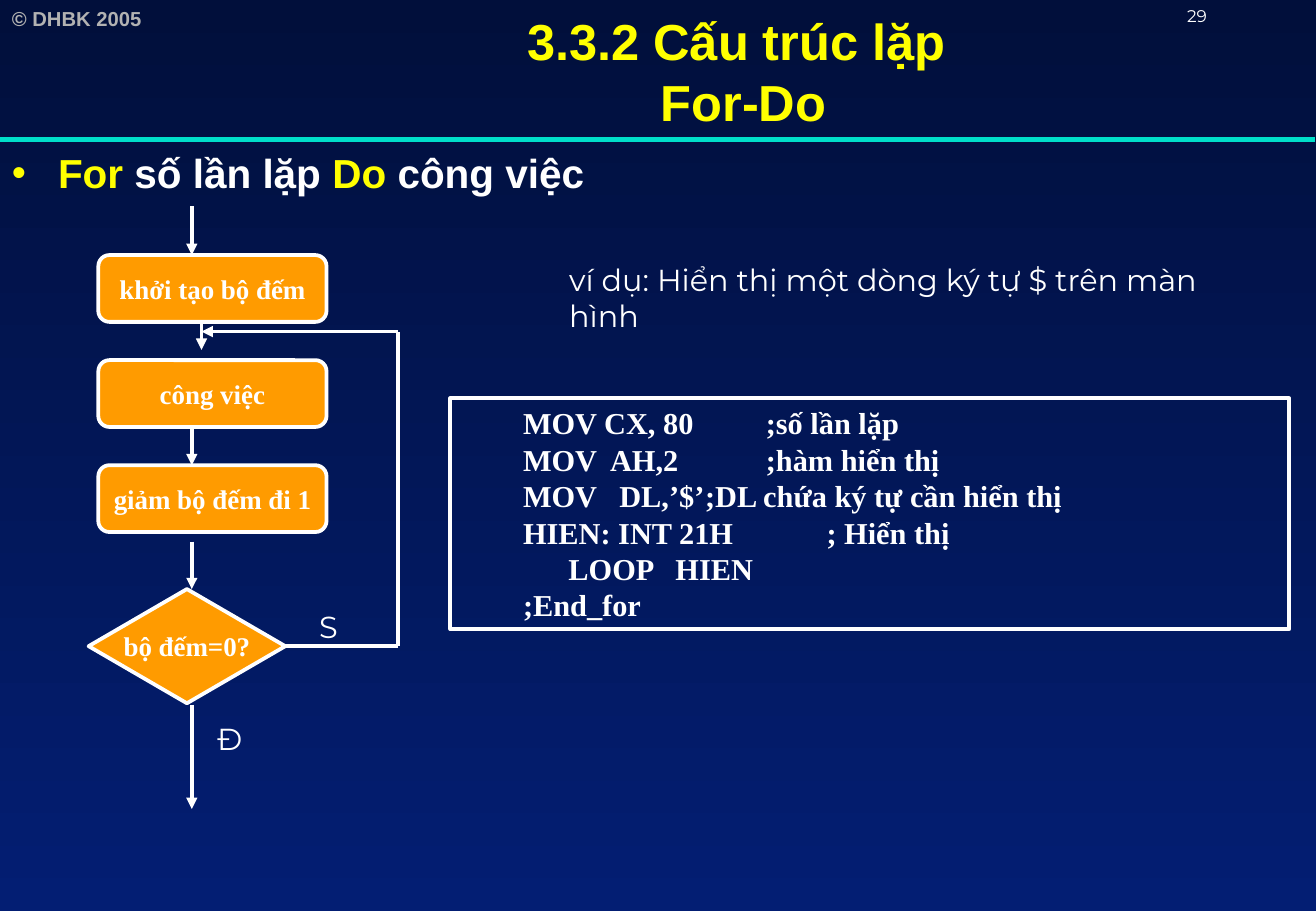
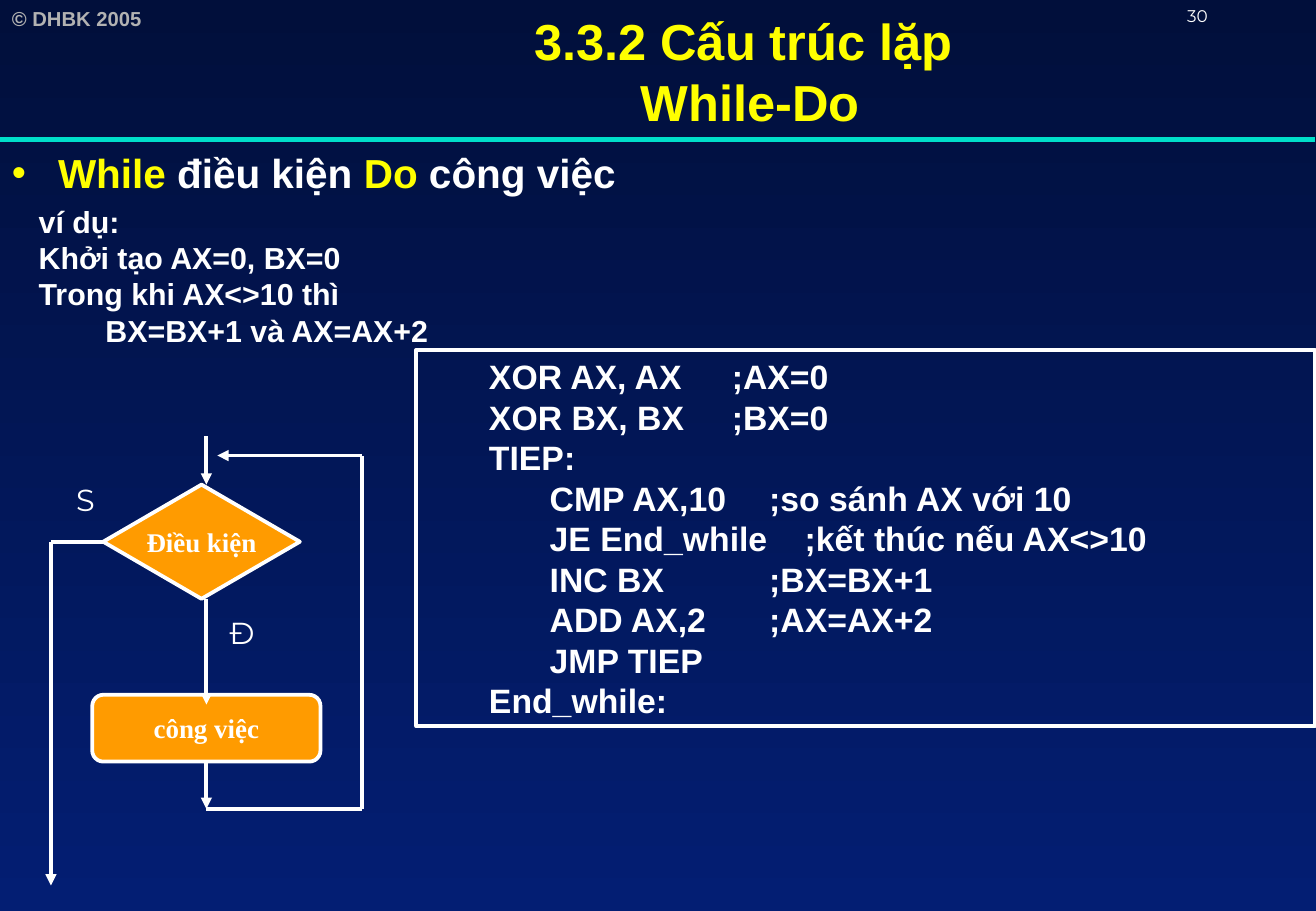
from itertools import pairwise

from lxml.etree import SubElement
from pptx import Presentation
from pptx.dml.color import RGBColor
from pptx.enum.shapes import MSO_CONNECTOR as CONN, MSO_SHAPE as SHAPE
from pptx.enum.text import MSO_ANCHOR as ANCHOR, MSO_AUTO_SIZE as FIT, PP_ALIGN as ALIGN
from pptx.oxml.ns import qn
from pptx.util import Inches, Pt

NAVY_TOP = RGBColor(0x01, 0x0F, 0x3B)
NAVY_BOTTOM = RGBColor(0x03, 0x1E, 0x73)
TEAL = RGBColor(0x00, 0xDF, 0xCA)
GREY = RGBColor(0xB2, 0xB2, 0xB2)
YELLOW = RGBColor(0xFF, 0xFF, 0x00)
ORANGE = RGBColor(0xFF, 0x9B, 0x00)
WHITE = RGBColor(0xFF, 0xFF, 0xFF)

SANS, SERIF, LABEL = "Arial", "Times New Roman", "Montserrat"
LEADING = 1.2
STEP_SIZE = (1.88, 0.55)
DECISION_SIZE = (1.62, 0.94)


def add_run(p, text, size, font=SANS, color=WHITE, bold=True):
    r = p.add_run()
    r.text = text
    r.font.size = Pt(size)
    r.font.name = font
    r.font.bold = bold
    r.font.color.rgb = color
    p.line_spacing = Pt(size * LEADING)


def set_indent(p, left, first=0):
    pPr = p._p.get_or_add_pPr()
    pPr.set("marL", str(Inches(left)))
    pPr.set("indent", str(Inches(first)))
    return pPr


def add_tabs(pPr):
    tabs = SubElement(pPr, qn("a:tabLst"))
    for inch in range(8):
        SubElement(tabs, qn("a:tab"), pos=str(Inches(inch)), algn="l")


def add_paragraph(tf, index):
    return tf.add_paragraph() if index else tf.paragraphs[0]


def add_text(slide, box, lines, size, font=LABEL, color=WHITE, bold=False, wrap=False):
    sp = slide.shapes.add_textbox(*map(Inches, box))
    tf = sp.text_frame
    tf.word_wrap = wrap
    for i, text in enumerate(lines):
        add_run(add_paragraph(tf, i), text, size, font, color, bold)
    return sp


def add_box(slide, kind, box, fill=None):
    sp = slide.shapes.add_shape(kind, *map(Inches, box))
    sp.shadow.inherit = False
    if fill is None:
        sp.fill.background()
    else:
        sp.fill.solid()
        sp.fill.fore_color.rgb = fill
    sp.line.color.rgb = WHITE
    sp.line.width = Pt(2.25)
    return sp


def add_node(slide, kind, left, top, size, text):
    sp = add_box(slide, kind, (left, top, *size), ORANGE)
    tf = sp.text_frame
    tf.word_wrap = False
    tf.vertical_anchor = ANCHOR.MIDDLE
    p = tf.paragraphs[0]
    p.alignment = ALIGN.CENTER
    add_run(p, text, 16, SERIF)
    return sp


def add_step(slide, left, top, text):
    return add_node(slide, SHAPE.FLOWCHART_ALTERNATE_PROCESS, left, top, STEP_SIZE, text)


def add_decision(slide, left, top, text):
    return add_node(slide, SHAPE.FLOWCHART_DECISION, left, top, DECISION_SIZE, text)


def add_code(slide, box, lines, size, font):
    tf = add_box(slide, SHAPE.RECTANGLE, box).text_frame
    tf.word_wrap = True
    tf.vertical_anchor = ANCHOR.TOP
    for i, text in enumerate(lines):
        p = add_paragraph(tf, i)
        add_tabs(set_indent(p, 0.5))
        p.alignment = ALIGN.LEFT
        add_run(p, text, size, font)


def add_line(slide, start, end, color=WHITE, width=2.25, arrow=False):
    line = slide.shapes.add_connector(CONN.STRAIGHT, *map(Inches, (*start, *end)))
    line.line.color.rgb = color
    line.line.width = Pt(width)
    if arrow:
        SubElement(line.line._get_or_add_ln(), qn("a:tailEnd"), type="triangle")
    SubElement(line._element.spPr, qn("a:effectLst"))
    return line


def add_route(slide, *points, source=None, site=None):
    legs = list(pairwise(points))
    lines = [add_line(slide, a, b, arrow=(a, b) == legs[-1]) for a, b in legs]
    if source is not None:
        lines[0].begin_connect(source, site)


def add_header(slide, layout):
    copyright_box = add_text(slide, (0, 0, 1.57, 0.3), ["© DHBK 2005"], 12, SANS, GREY, True)
    rule = add_line(slide, (0, 1.15), (10.83, 1.15), TEAL, 3)
    for shape in (copyright_box, rule):
        layout.shapes.element.append(shape.element)


def set_background(master):
    fill = master.background.fill
    fill.gradient()
    fill.gradient_angle = 270
    for stop, color in zip(fill.gradient_stops, (NAVY_TOP, NAVY_BOTTOM)):
        stop.color.rgb = color


def set_title(slide, lines):
    title = slide.shapes.title
    title.left, title.top, title.width, title.height = map(Inches, (1.41, 0, 9.43, 1.17))
    tf = title.text_frame
    tf.auto_size = FIT.NONE
    tf.vertical_anchor = ANCHOR.MIDDLE
    p = tf.paragraphs[0]
    p.alignment = ALIGN.CENTER
    for i, text in enumerate(lines):
        if i:
            p.add_line_break()
        add_run(p, text, 30, color=YELLOW)


def add_syntax(slide, parts):
    sp = slide.shapes.add_textbox(*map(Inches, (0, 1.17, 10.83, 0.5)))
    sp.text_frame.word_wrap = True
    p = sp.text_frame.paragraphs[0]
    pPr = set_indent(p, 0.38, -0.38)
    SubElement(SubElement(pPr, qn("a:buClr")), qn("a:srgbClr"), val=str(YELLOW))
    SubElement(pPr, qn("a:buFont"), typeface=SANS)
    SubElement(pPr, qn("a:buChar"), char="•")
    for i, text in enumerate(parts):
        add_run(p, text, 24, color=WHITE if i % 2 else YELLOW)


def add_lesson(prs, layout, number, title, syntax):
    slide = prs.slides.add_slide(layout)
    set_title(slide, title)
    add_syntax(slide, syntax)
    add_text(slide, (9.68, 0, 1.1, 0.25), [number], 10)
    return slide


def build_for(slide):
    add_code(slide, (3.71, 3.28, 6.91, 1.9), [
        "MOV CX, 80\t\t;số lần lặp",
        "MOV  AH,2\t\t;hàm hiển thị",
        "MOV   DL,’$’\t;DL chứa ký tự cần hiển thị",
        "HIEN: INT 21H\t\t; Hiển thị",
        "      LOOP   HIEN",
        ";End_for",
    ], 18, SERIF)
    for i, text in enumerate(("khởi tạo bộ đếm", "công việc", "giảm bộ đếm đi 1")):
        add_step(slide, 0.81, 2.1 + i * 0.865, text)
    check = add_decision(slide, 0.73, 4.85, "bộ đếm=0?")
    for x, top, bottom in ((1.58, 1.7, 2.1), (1.66, 2.65, 2.88), (1.58, 3.51, 3.83),
                           (1.58, 4.46, 4.85), (1.58, 5.8, 6.66)):
        add_route(slide, (x, top), (x, bottom))
    add_route(slide, (2.35, 5.32), (3.28, 5.32), (3.28, 2.73), (1.66, 2.73),
              source=check, site=3)
    add_text(slide, (2.53, 4.96, 0.34, 0.4), ["S"], 18)
    add_text(slide, (1.69, 5.88, 0.38, 0.4), ["Đ"], 18)
    add_text(slide, (4.59, 2.1, 5.63, 0.7),
             ["ví dụ: Hiển thị một dòng ký tự $ trên màn hình"], 18, wrap=True)


def build_while(slide):
    add_code(slide, (3.43, 2.88, 7.4, 3.1), [
        "XOR AX, AX\t;AX=0",
        "XOR BX, BX\t;BX=0",
        "TIEP:",
        "\tCMP AX,10\t    ;so sánh AX với 10",
        "\tJE End_while    ;kết thúc nếu AX<>10",
        "\tINC BX\t\t    ;BX=BX+1",
        "\tADD AX,2\t    ;AX=AX+2",
        "\tJMP TIEP",
        "End_while:",
    ], 20, SANS)
    work = add_step(slide, 0.76, 5.72, "công việc")
    check = add_decision(slide, 0.85, 3.99, "Điều kiện")
    add_route(slide, (1.7, 3.59), (1.7, 3.99))
    add_route(slide, (1.7, 4.93), (1.7, 5.8))
    add_route(slide, (1.7, 6.27), (1.7, 6.66), source=work, site=2)
    add_route(slide, (1.7, 6.66), (2.98, 6.66), (2.98, 3.75), (1.79, 3.75))
    add_route(slide, (0.85, 4.46), (0.42, 4.46), (0.42, 7.29), source=check, site=1)
    add_text(slide, (0.53, 3.91, 0.34, 0.4), ["S"], 18)
    add_text(slide, (1.79, 5.01, 0.38, 0.4), ["Đ"], 18)
    example = add_text(slide, (0.22, 1.62, 3.42, 1.3), [
        "ví dụ:",
        "Khởi tạo AX=0, BX=0",
        "Trong khi AX<>10 thì",
        "BX=BX+1 và AX=AX+2",
    ], 18, SANS, bold=True)
    set_indent(example.text_frame.paragraphs[-1], 0.55)


def main():
    prs = Presentation()
    prs.slide_width, prs.slide_height = Inches(10.84), Inches(7.5)
    set_background(prs.slide_master)
    layout = prs.slide_layouts[5]
    for_slide = add_lesson(prs, layout, "29", ("3.3.2 Cấu trúc lặp ", "For-Do"),
                           ("For", " số lần lặp ", "Do", " công việc"))
    add_header(for_slide, layout)
    build_for(for_slide)
    while_slide = add_lesson(prs, layout, "30", ("3.3.2 Cấu trúc lặp", " While-Do"),
                             ("While", " điều kiện ", "Do", " công việc"))
    build_while(while_slide)
    prs.save("out.pptx")


if __name__ == "__main__":
    main()
